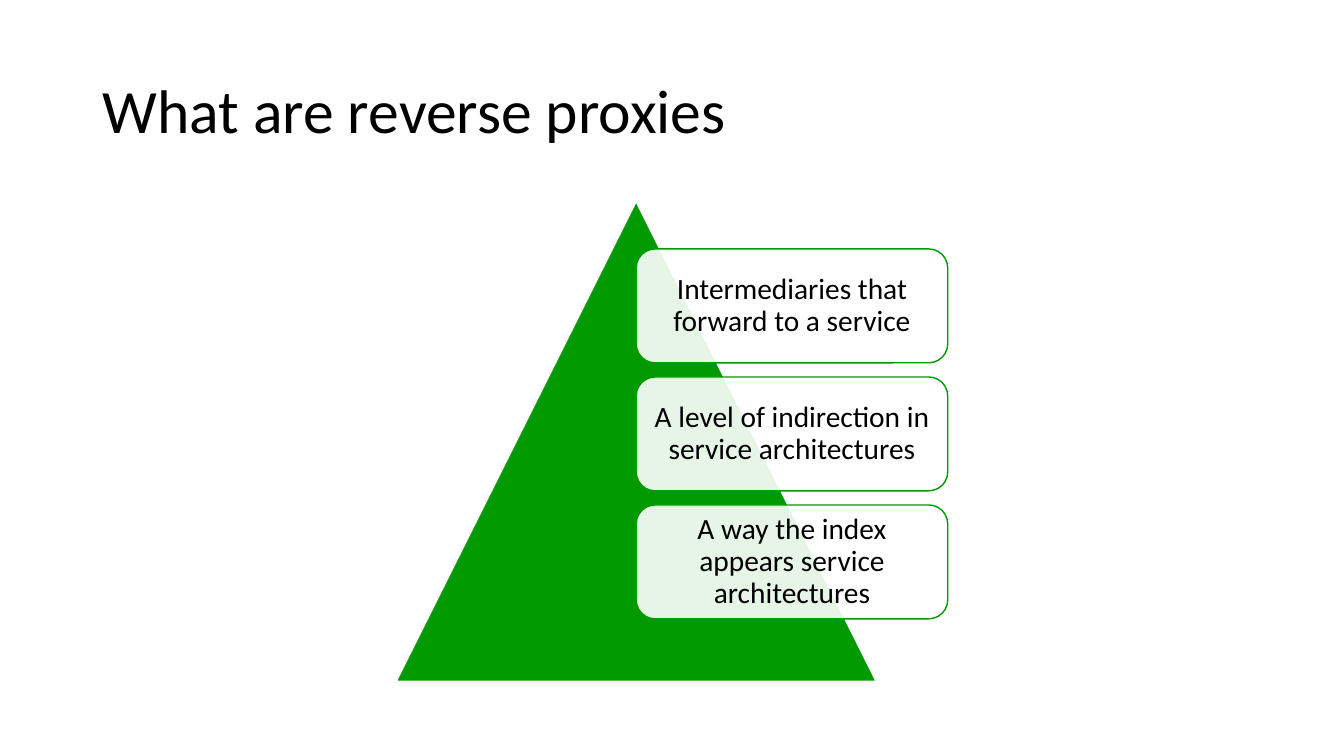
"""Build the slide 'What are reverse proxies': a triangle with three stacked cards."""
from lxml import etree
from pptx import Presentation
from pptx.dml.color import RGBColor
from pptx.enum import shapes, text
from pptx.oxml.ns import qn
from pptx.util import Inches, Pt

COLORS = {"green": "009900", "white": "FFFFFF", "black": "000000"}
CARDS = [
    "Intermediaries that forward to a service",
    "A level of indirection in service architectures",
    "A way the index appears service architectures",
]


def add_shape(kind, box, fill, line):
    sp = s.shapes.add_shape(kind, *map(Inches, box))
    sp.shadow.inherit = False
    sp.fill.solid()
    sp.fill.fore_color.rgb = RGBColor.from_string(COLORS[fill])
    sp.line.color.rgb = RGBColor.from_string(COLORS[line])
    sp.line.width = Pt(1)
    return sp


def set_text(sp, words, size, align):
    tf = sp.text_frame
    tf.word_wrap = True
    tf.vertical_anchor = text.MSO_ANCHOR.MIDDLE
    p = tf.paragraphs[0]
    p.text = words
    p.alignment = align
    p.line_spacing = 0.9
    p.font.name = "Calibri"
    p.font.size = Pt(size)
    p.font.color.rgb = RGBColor.from_string(COLORS["black"])
    return tf


prs = Presentation()
prs.slide_width, prs.slide_height = Inches(13.33), Inches(7.5)
s = prs.slides.add_slide(prs.slide_layouts[6])

title = s.shapes.add_textbox(*map(Inches, (0.92, 0.4, 11.5, 1.45)))
set_text(title, "What are reverse proxies", 44, text.PP_ALIGN.LEFT)

add_shape(shapes.MSO_SHAPE.ISOSCELES_TRIANGLE, (3.93, 2, 4.76, 4.76), "green", "white")

for i, words in enumerate(CARDS):
    card = add_shape(shapes.MSO_SHAPE.ROUNDED_RECTANGLE,
                     (6.31, 2.47 + 1.27 * i, 3.09, 1.13), "white", "green")
    color = card.fill._xPr.find(qn("a:solidFill"))[0]
    etree.SubElement(color, qn("a:alpha"), val="90000")
    tf = set_text(card, words, 21, text.PP_ALIGN.CENTER)
    tf.margin_left = tf.margin_right = tf.margin_top = tf.margin_bottom = Inches(0.09)

prs.save("out.pptx")
